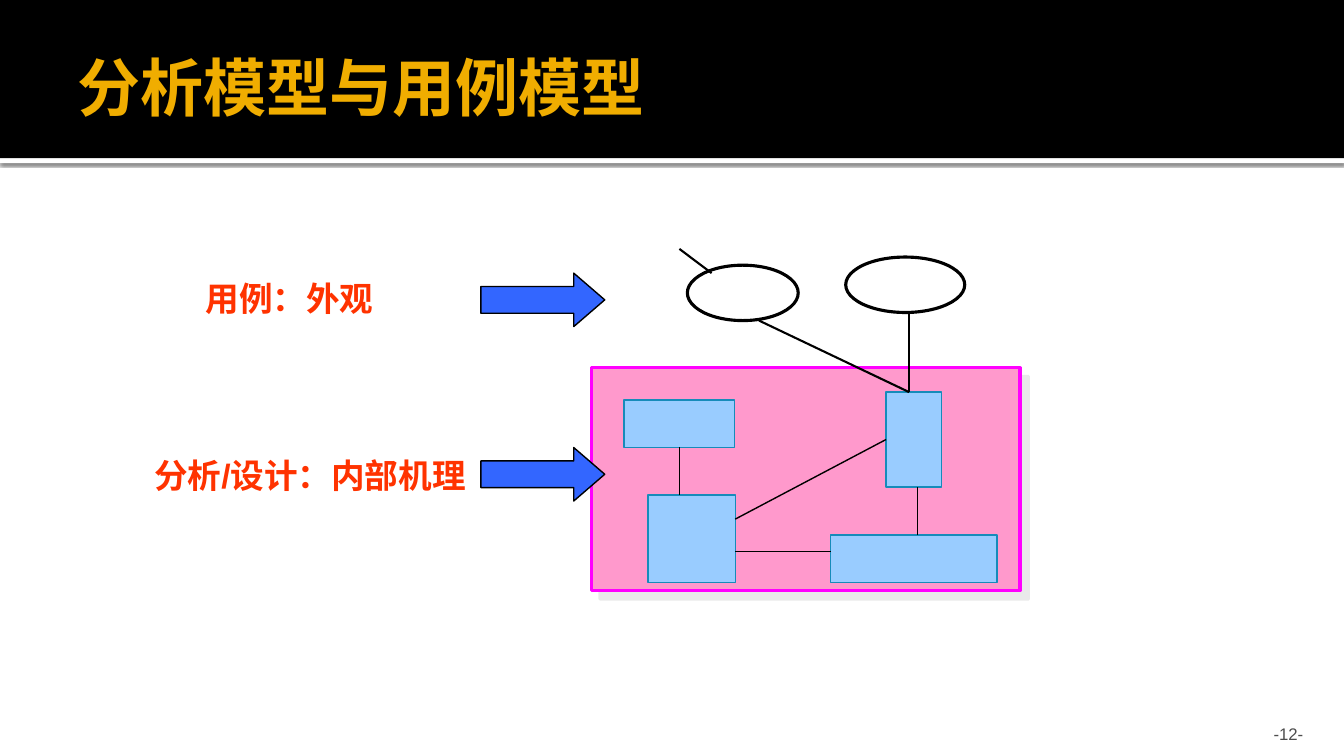
from lxml import etree
from pptx import Presentation
from pptx.dml.color import RGBColor
from pptx.enum.shapes import MSO_CONNECTOR, MSO_SHAPE
from pptx.enum.text import MSO_ANCHOR, PP_ALIGN
from pptx.oxml.ns import qn
from pptx.util import Pt

RECTANGLE, OVAL, ARROW = MSO_SHAPE.RECTANGLE, MSO_SHAPE.OVAL, MSO_SHAPE.RIGHT_ARROW
STRAIGHT = MSO_CONNECTOR.STRAIGHT
TOP, MIDDLE, BOTTOM = MSO_ANCHOR.TOP, MSO_ANCHOR.MIDDLE, MSO_ANCHOR.BOTTOM
LEFT, RIGHT = PP_ALIGN.LEFT, PP_ALIGN.RIGHT
SIDE_TOP, SIDE_LEFT, SIDE_BOTTOM = 0, 1, 2

BLACK = RGBColor(0x00, 0x00, 0x00)
WHITE = RGBColor(0xFF, 0xFF, 0xFF)
GOLD = RGBColor(0xF0, 0xAD, 0x00)
GRAY = RGBColor(0x4D, 0x4D, 0x4D)
SHADOW_GRAY = RGBColor(0xD4, 0xD4, 0xD6)
PINK = RGBColor(0xFF, 0x99, 0xCC)
MAGENTA = RGBColor(0xFF, 0x00, 0xFF)
LIGHT_BLUE = RGBColor(0x99, 0xCC, 0xFF)
TEAL = RGBColor(0x16, 0x8B, 0xBA)
BLUE = RGBColor(0x33, 0x66, 0xFF)
RED = RGBColor(0xFF, 0x33, 0x00)

# Content: boxes are (left, top, width, height) in points
SLIDE_WIDTH, SLIDE_HEIGHT = 960, 540
BAND_HEIGHT = 113
TITLE = "分析模型与用例模型"
PAGE_NUMBER = "-12-"
LABELS = [
    ("用例：外观", (139.7, 195.1, 187.2, 36)),
    ("分析/设计：内部机理", (103, 321.1, 240.5, 36)),
]
ARROW_LEFT, ARROW_WIDTH, ARROW_HEIGHT = 343.5, 88.5, 38.2
ARROW_TOPS = [195.1, 319.7]
PANEL = (422.6, 262.8, 306, 159.1)
CLASSES = {
    "wide": (445.7, 285.8, 79.2, 33.8),
    "tall": (632.9, 280.1, 39.6, 67.7),
    "square": (463, 353.5, 62.2, 62.6),
    "long": (593.3, 382.3, 118.8, 33.8),
}
USE_CASES = [(491, 189.4, 79.2, 39.6), (604.1, 183.6, 85, 39.6)]
# Links: start, end, line width, joined start, joined end
LINKS = [
    ((525.2, 370.8), (632.9, 313.9), 1, None, ("tall", SIDE_LEFT)),
    ((655.2, 382.3), (655.2, 347.8), 1, None, None),
    ((525.2, 393.8), (593.3, 393.8), 1, None, None),
    ((485.3, 319.6), (485.3, 353.5), 1, ("wide", SIDE_BOTTOM), None),
    ((542.2, 229), (649.4, 280.1), 1.5, None, None),
    ((649.4, 223.2), (649.4, 280.1), 1.5, None, None),
    ((508.3, 195.1), (485.3, 177.8), 1.5, None, None),
]


def add_box(slide, kind, box, fill=None, line=None, width=1):
    shape = slide.shapes.add_shape(kind, *map(Pt, box))
    shape.shadow.inherit = False
    if fill is None:
        shape.fill.background()
    else:
        shape.fill.solid()
        shape.fill.fore_color.rgb = fill
    if line is None:
        shape.line.fill.background()
    else:
        shape.line.color.rgb = line
        shape.line.width = Pt(width)
    return shape


def add_shadow(shape, color, opacity, blur, distance, angle):
    effects = shape._element.spPr.find(qn("a:effectLst"))
    shadow = etree.SubElement(effects, qn("a:outerShdw"), {
        "blurRad": str(Pt(blur)), "dist": str(Pt(distance)),
        "dir": str(angle * 60000), "algn": "tl", "rotWithShape": "0"})
    tint = etree.SubElement(shadow, qn("a:srgbClr"), val=str(color))
    etree.SubElement(tint, qn("a:alpha"), val=str(opacity * 1000))


def write_text(shape, text, font, anchor=TOP, align=LEFT, margins=(7.2, 3.6, 7.2, 3.6)):
    frame = shape.text_frame
    left, top, right, bottom = map(Pt, margins)
    frame_format = {"word_wrap": True, "vertical_anchor": anchor, "margin_left": left,
                    "margin_top": top, "margin_right": right, "margin_bottom": bottom}
    for name, value in frame_format.items():
        setattr(frame, name, value)
    paragraph = frame.paragraphs[0]
    paragraph.alignment = align
    run = paragraph.add_run()
    run.text = text
    name, size, bold, color = font
    for key, value in {"name": name, "size": Pt(size), "bold": bold}.items():
        setattr(run.font, key, value)
    run.font.color.rgb = color


def main():
    presentation = Presentation()
    presentation.slide_width, presentation.slide_height = Pt(SLIDE_WIDTH), Pt(SLIDE_HEIGHT)
    slide = presentation.slides.add_slide(presentation.slide_layouts[5])

    # Title band with a shadowed white strip below
    strip = add_box(slide, RECTANGLE, (0, BAND_HEIGHT, SLIDE_WIDTH, 3.6), WHITE)
    add_shadow(strip, BLACK, 60, 2.5, 0.8, 90)
    add_box(slide, RECTANGLE, (0, 0, SLIDE_WIDTH, BAND_HEIGHT), BLACK)
    title = slide.shapes.title
    title.left, title.top, title.width, title.height = map(Pt, (48, 12.2, 864, 98.6))
    write_text(title, TITLE, ("Times New Roman", 45, True, GOLD), MIDDLE,
               margins=(7.2, 3.6, 3.6, 3.6))
    slide.shapes._spTree.append(title._element)  # in front of the band

    # Page number
    number = slide.shapes.add_textbox(*map(Pt, (861.1, 509.8, 77, 21.6)))
    write_text(number, PAGE_NUMBER, ("Arial", 12, False, GRAY), BOTTOM, RIGHT,
               (7.2, 3.6, 7.2, 0))

    # Panel, classes and use cases
    panel = add_box(slide, RECTANGLE, PANEL, PINK, MAGENTA, 2.25)
    add_shadow(panel, SHADOW_GRAY, 50, 0, 8.5, 45)
    classes = {name: add_box(slide, RECTANGLE, box, LIGHT_BLUE, TEAL)
               for name, box in CLASSES.items()}
    for box in USE_CASES:
        add_box(slide, OVAL, box, line=BLACK, width=2.25)

    # Links
    for start, end, width, joined_start, joined_end in LINKS:
        link = slide.shapes.add_connector(STRAIGHT, *map(Pt, start + end))
        link.line.color.rgb = BLACK
        link.line.width = Pt(width)
        etree.SubElement(link._element.spPr, qn("a:effectLst"))
        if joined_start:
            link.begin_connect(classes[joined_start[0]], joined_start[1])
        if joined_end:
            link.end_connect(classes[joined_end[0]], joined_end[1])

    # Labels and their arrows
    for text, box in LABELS:
        label = slide.shapes.add_textbox(*map(Pt, box))
        write_text(label, text, ("Arial", 24, True, RED))
    for top in ARROW_TOPS:
        arrow = add_box(slide, ARROW, (ARROW_LEFT, top, ARROW_WIDTH, ARROW_HEIGHT), BLUE, BLACK)
        arrow.adjustments[0], arrow.adjustments[1] = 0.5, 0.58

    presentation.save("out.pptx")


if __name__ == "__main__":
    main()
